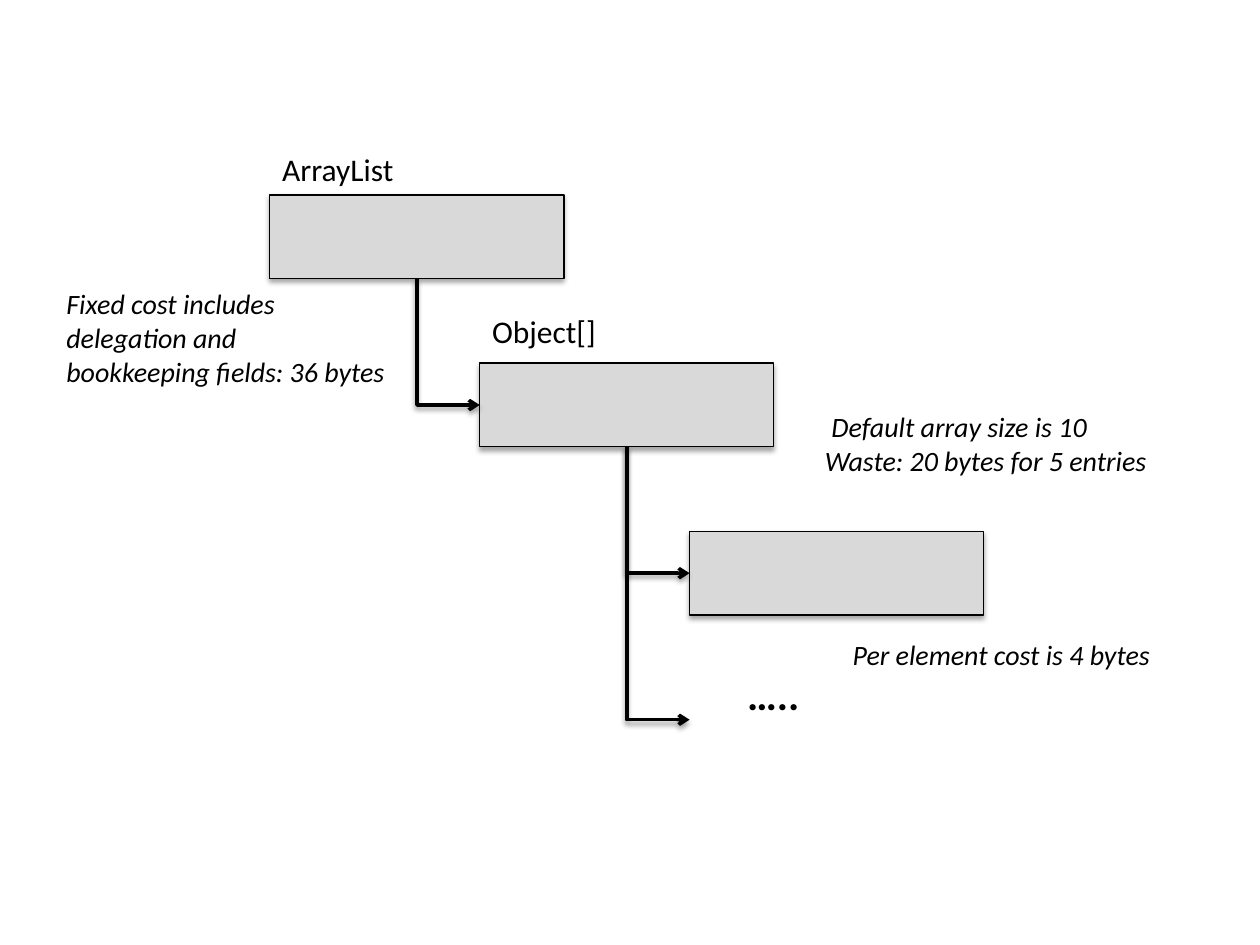
from lxml import etree
from pptx import Presentation
from pptx.dml.color import RGBColor
from pptx.enum import shapes, text
from pptx.oxml import ns
from pptx.util import Cm, Pt

FONT = "Calibri"
BOX_WIDTH, BOX_HEIGHT = 5.93, 1.69
STEP_X, STEP_Y = 4.23, 3.39


def color(hex_value):
    return RGBColor.from_string(hex_value)


def add_shadow(shape, distance, opacity):
    """Give the shape a soft black shadow straight below it."""
    properties = shape._element.spPr
    effects = etree.SubElement(properties, ns.qn("a:effectLst"))
    shadow = etree.SubElement(
        effects, ns.qn("a:outerShdw"), blurRad=str(Pt(3.1)),
        dist=str(Pt(distance)), dir="5400000", rotWithShape="0")
    black = etree.SubElement(shadow, ns.qn("a:srgbClr"), val="000000")
    etree.SubElement(black, ns.qn("a:alpha"), val=str(opacity * 1000))


def add_text(slide, lines, left, top, width, height, size=16, bold=False,
             italic=False, wrap=False, first_indent=0):
    box = slide.shapes.add_textbox(Cm(left), Cm(top), Cm(width), Cm(height))
    frame = box.text_frame
    frame.word_wrap = wrap
    frame.auto_size = text.MSO_AUTO_SIZE.SHAPE_TO_FIT_TEXT
    frame.text = "\n".join(lines)
    for paragraph in frame.paragraphs:
        font = paragraph.font
        font.name, font.size = FONT, Pt(size)
        font.bold, font.italic = bold, italic
        font.color.rgb = color("000000")
    if first_indent:
        frame.paragraphs[0]._p.get_or_add_pPr().set("marL", str(Cm(first_indent)))


def add_object_box(slide, left, top):
    box = slide.shapes.add_shape(shapes.MSO_SHAPE.RECTANGLE, Cm(left), Cm(top),
                                 Cm(BOX_WIDTH), Cm(BOX_HEIGHT))
    box.fill.solid()
    box.fill.fore_color.rgb = color("D9D9D9")
    box.line.color.rgb = color("000000")
    box.line.width = Pt(0.75)
    add_shadow(box, distance=1.8, opacity=35)
    return box


def add_reference(slide, source, end_x, end_y, target=None):
    """Draw an arrow down from the source's bottom, then right to the end."""
    start_x = source.left + source.width // 2
    start_y = source.top + source.height
    arrow = slide.shapes.add_connector(shapes.MSO_CONNECTOR.ELBOW,
                                       start_x, start_y, end_x, end_y)
    arrow.begin_connect(source, 2)
    if target is not None:
        arrow.end_connect(target, 1)

    # A single-bend connector runs across first, so it is turned and mirrored.
    across, down = end_x - start_x, end_y - start_y
    arrow.left = start_x + (across - down) // 2
    arrow.top = start_y + (down - across) // 2
    arrow.width, arrow.height = down, across
    properties = arrow._element.spPr
    properties.find(ns.qn("a:prstGeom")).set("prst", "bentConnector2")
    frame = properties.find(ns.qn("a:xfrm"))
    frame.set("rot", str(270 * 60000))
    frame.set("flipH", "1")

    arrow.line.color.rgb = color("000000")
    arrow.line.width = Pt(2)
    etree.SubElement(arrow.line._get_or_add_ln(), ns.qn("a:tailEnd"), type="arrow")
    add_shadow(arrow, distance=1.6, opacity=38)


def add_object_chain(slide, left, top):
    """Place the stepped boxes, their references and their names."""
    boxes = [add_object_box(slide, left + i * STEP_X, top + i * STEP_Y)
             for i in range(3)]
    for source, target in zip(boxes, boxes[1:]):
        add_reference(slide, source, target.left,
                      target.top + target.height // 2, target)
    add_reference(slide, boxes[1], boxes[2].left, Cm(top + 10.58))

    add_text(slide, ["ArrayList"], left, top - 1.03, 2.79, 1.02, size=18)
    add_text(slide, ["Object[]"], left + STEP_X, top + 2.24, 2.62, 1.02, size=18)
    add_text(slide, ["….."], left + 9.37, top + 9.43, 1.57, 1.27, size=24, bold=True)


def add_cost_notes(slide):
    add_text(slide, ["Default array size is 10", "Waste: 20 bytes for 5 entries"],
             16.38, 8.13, 8.5, 1.63, italic=True, wrap=True, first_indent=0.13)
    add_text(slide, ["Fixed cost includes", "delegation and",
                     "bookkeeping fields: 36 bytes"],
             1.09, 5.66, 7.14, 2.31, italic=True)
    add_text(slide, ["Per element cost is 4 bytes"],
             16.94, 12.73, 6.73, 0.94, italic=True)


def main():
    presentation = Presentation()
    presentation.slide_width, presentation.slide_height = Cm(25.4), Cm(19.05)
    slide = presentation.slides.add_slide(presentation.slide_layouts[6])
    add_object_chain(slide, left=5.44, top=3.93)
    add_cost_notes(slide)
    presentation.save("out.pptx")


if __name__ == "__main__":
    main()
